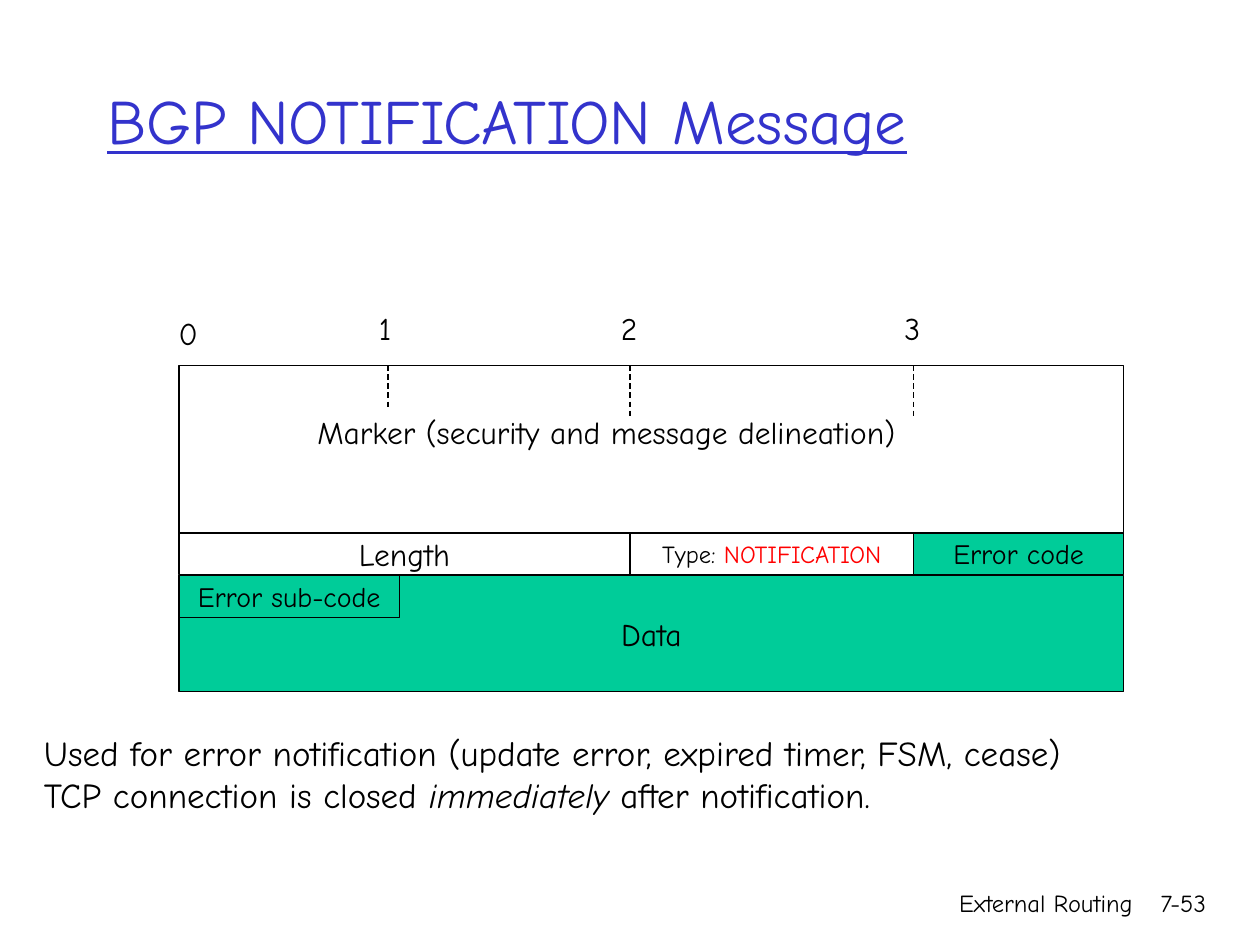
from lxml import etree
from pptx import Presentation
from pptx import util as u
from pptx.dml.color import RGBColor
from pptx.enum import dml, shapes, text
from pptx.oxml.ns import qn

FONT = "Comic Neue"
BLACK = RGBColor(0x00, 0x00, 0x00)
BLUE = RGBColor(0x33, 0x33, 0xCC)
RED = RGBColor(0xFF, 0x00, 0x00)
GREEN = RGBColor(0x00, 0xCC, 0x99)
LEFT, CENTER, RIGHT = text.PP_ALIGN.LEFT, text.PP_ALIGN.CENTER, text.PP_ALIGN.RIGHT
TOP, MIDDLE = text.MSO_ANCHOR.TOP, text.MSO_ANCHOR.MIDDLE


def write(frame, *lines, size=18, color=BLACK, align=LEFT, anchor=TOP, underline=None):
    """Fill a frame with lines, each a string or a list of (words, font overrides)."""
    frame.word_wrap = True
    frame.auto_size = text.MSO_AUTO_SIZE.NONE
    frame.vertical_anchor = anchor
    for index, line in enumerate(lines):
        paragraph = frame.add_paragraph() if index else frame.paragraphs[0]
        paragraph.alignment = align
        for words, changes in [(line, {})] if isinstance(line, str) else line:
            run = paragraph.add_run()
            run.text = words
            run.font.name = FONT
            run.font.size = u.Pt(size)
            run.font.underline = underline
            run.font.italic = changes.get("italic")
            run.font.color.rgb = changes.get("color", color)


def add_label(slide, box, *lines, **style):
    """Place a text box in a box given in inches."""
    label = slide.shapes.add_textbox(*map(u.Inches, box))
    write(label.text_frame, *lines, **style)


def add_field(slide, box, *lines, fill=None, size=18):
    """Draw one outlined message field with its centred name."""
    field = slide.shapes.add_shape(shapes.MSO_SHAPE.RECTANGLE, *map(u.Inches, box))
    field.shadow.inherit = False
    if fill is None:
        field.fill.background()
    else:
        field.fill.solid()
        field.fill.fore_color.rgb = fill
    field.line.color.rgb = BLACK
    field.line.width = u.Pt(0.75)
    field.text_frame.margin_top = field.text_frame.margin_bottom = 0
    write(field.text_frame, *lines, size=size, align=CENTER, anchor=MIDDLE)


def add_tick(slide, x, top, length):
    """Draw a dashed byte boundary downwards from the top edge."""
    tick = slide.shapes.add_connector(
        shapes.MSO_CONNECTOR.STRAIGHT,
        *map(u.Inches, (x, top, x, top + length)))
    tick.line.color.rgb = BLACK
    tick.line.width = u.Pt(0.75)
    tick.line.dash_style = dml.MSO_LINE.DASH
    etree.SubElement(tick._element.spPr, qn("a:effectLst"))


def add_title(slide, box, words):
    """Place and format the slide title."""
    title = slide.shapes.title
    title.left, title.top, title.width, title.height = map(u.Inches, box)
    write(title.text_frame, words, size=36, color=BLUE, anchor=MIDDLE, underline=True)


def add_message_format(slide, box):
    """Draw the message layout with its byte scale and fields."""
    left, top, width, height = box
    row = 0.33
    marker_height = 1.33
    header_top = top + marker_height
    data_top = header_top + row + 0.01
    byte_1, byte_2, byte_3 = (left + offset for offset in (1.66, 3.58, 5.83))

    add_field(slide, (left, data_top, width, top + height - data_top), "Data", fill=GREEN)
    add_field(slide, (left, top, width, marker_height))
    add_field(slide, (left, header_top, byte_2 - left, row), "Length")
    add_field(slide, (byte_2, header_top, byte_3 - byte_2, row),
              [("Type: ", {}), ("NOTIFICATION", {"color": RED})], size=14)
    add_field(slide, (byte_3, header_top, left + width - byte_3, row),
              "Error code", fill=GREEN, size=16)
    add_field(slide, (left, data_top, 1.75, row), "Error sub-code", fill=GREEN, size=16)

    add_label(slide, (left - 0.1, top - 0.46, 0.37, 0.5), "0")
    ticks = ((byte_1, 0.33), (byte_2, 0.42), (byte_3, 0.42))
    for number, (x, length) in enumerate(ticks, start=1):
        add_tick(slide, x, top, length)
        add_label(slide, (x - 0.17, top - 0.5, 0.37, 0.5), str(number))
    add_label(slide, (left + 1, top + 0.33, 5.88, 0.5),
              "Marker (security and message delineation)")


def add_usage(slide, box):
    """State when the message is sent and what follows."""
    add_label(slide, box,
              "Used for error notification (update error, expired timer, FSM, cease)",
              [("TCP connection is closed ", {}), ("immediately", {"italic": True}),
               (" after notification.", {})], size=20)


def add_footer(slide, box):
    """Place the chapter name and page number on one line."""
    left, top, width, height = box
    page_width = 0.74
    add_label(slide, (left, top, 3.17, height), "External Routing", size=14, align=RIGHT)
    add_label(slide, (left + width - page_width, top, page_width, height),
              "7-53", size=14, align=RIGHT)


def main():
    """Build and save the slide."""
    deck = Presentation()
    deck.slide_width, deck.slide_height = u.Inches(10), u.Inches(7.5)
    slide = deck.slides.add_slide(deck.slide_layouts[5])
    add_title(slide, (0.75, 0.32, 8.5, 1.25), "BGP NOTIFICATION Message")
    add_message_format(slide, (1.42, 2.9, 7.5, 2.59))
    add_usage(slide, (0.25, 5.76, 9.37, 0.77))
    add_footer(slide, (5.92, 7, 3.75, 0.5))
    deck.save("out.pptx")


if __name__ == "__main__":
    main()
